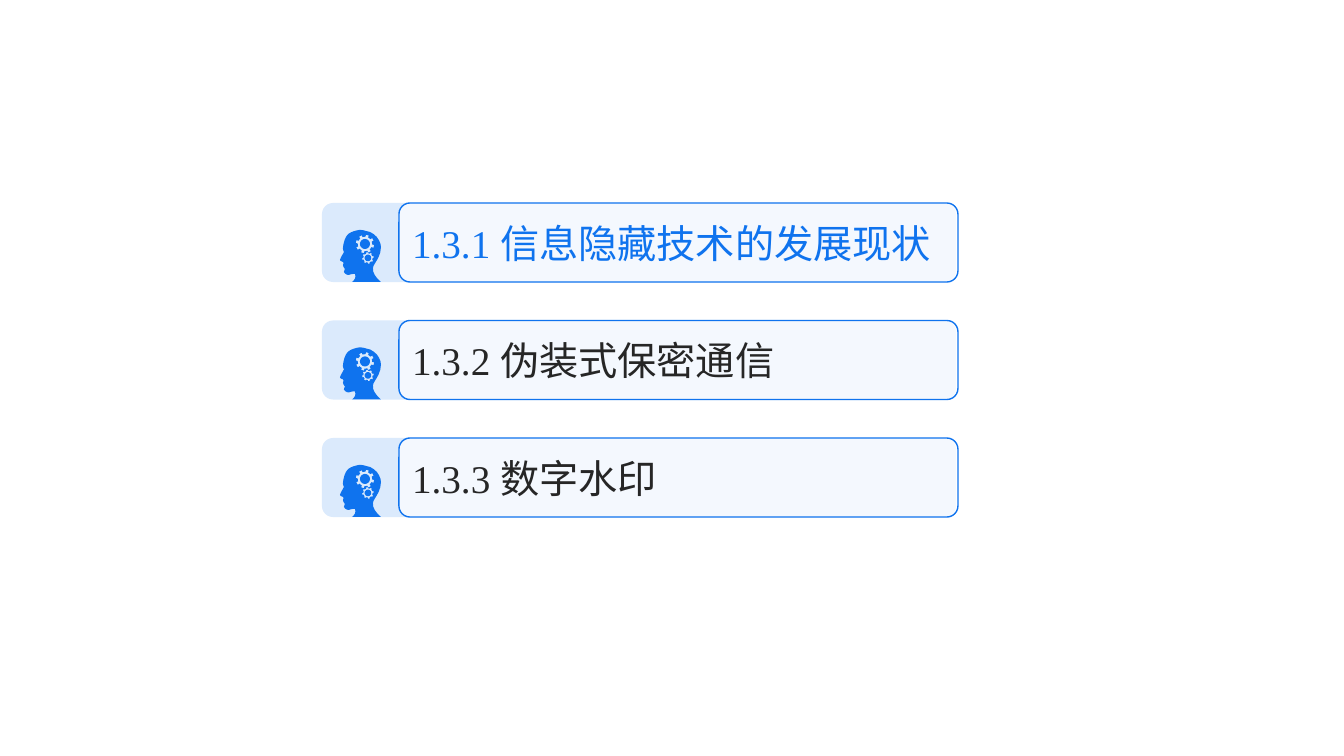
import math

from lxml import etree
from pptx import Presentation
from pptx.dml.color import RGBColor
from pptx.enum.shapes import MSO_SHAPE
from pptx.enum.text import MSO_ANCHOR, PP_ALIGN
from pptx.oxml.ns import qn
from pptx.util import Pt

ROUNDED = MSO_SHAPE.ROUNDED_RECTANGLE
MIDDLE = MSO_ANCHOR.MIDDLE
LEFT = PP_ALIGN.LEFT

BLUE = RGBColor(0x0F, 0x73, 0xEE)
WHITE = RGBColor(0xFF, 0xFF, 0xFF)
DARK = RGBColor(0x26, 0x26, 0x26)
FONT = "Times New Roman"

SECTIONS = [
    ("1.3.1 信息隐藏技术的发展现状", BLUE),
    ("1.3.2 伪装式保密通信", DARK),
    ("1.3.3 数字水印", DARK),
]

PX = 914400 / 100.8
SLIDE_SIZE = (1344, 756)
FIRST_TOP, LAST_TOP = 203, 438
ROW_HEIGHT = 79
BACK_LEFT, BACK_WIDTH = 322, 634
CARD_LEFT, CARD_WIDTH = 399, 559
HEAD_LEFT, HEAD_DROP = 340, 27

HEAD_START = (19, 0)
HEAD_CURVES = [
    ((21, 0), (23, 0), (26, 1)),
    ((35, 2), (41, 11), (41, 17)),
    ((41, 28), (33, 34), (33, 38)),
    ((32, 45), (41, 52), (41, 52)),
    ((41, 52), (12, 52), (12, 52)),
    ((12, 52), (17, 49), (15, 44)),
    ((14, 44), (11, 44), (9, 45)),
    ((7, 45), (5, 44), (4, 42)),
    ((4, 41), (5, 39), (5, 39)),
    ((4, 38), (3, 36), (3, 35)),
    ((4, 33), (3, 32), (3, 32)),
    ((3, 32), (0, 31), (0, 30)),
    ((0, 29), (4, 22), (4, 22)),
    ((4, 22), (3, 20), (3, 19)),
    ((3, 18), (3, 13), (6, 7)),
    ((8, 3), (13, 1), (19, 0)),
]
GEARS = [
    {"center": (25, 14), "tip": 9.3, "root": 7.3, "hub": 5, "turn": -75},
    {"center": (28, 28), "tip": 5.8, "root": 4.7, "hub": 3.3, "turn": -100},
]
TEETH = 8
CURVE_STEPS = 6
FINE = 10


def emu(pixels):
    return round(pixels * PX)


def head_outline():
    points = [HEAD_START]
    for first, second, end in HEAD_CURVES:
        start = points[-1]
        for step in range(1, CURVE_STEPS + 1):
            t = step / CURVE_STEPS
            weights = ((1 - t) ** 3, 3 * t * (1 - t) ** 2, 3 * t * t * (1 - t), t ** 3)
            corners = (start, first, second, end)
            points.append(tuple(
                sum(w * corner[axis] for w, corner in zip(weights, corners))
                for axis in (0, 1)))
    return points


def polar(center, radius, degrees):
    angle = math.radians(degrees)
    return center[0] + radius * math.cos(angle), center[1] + radius * math.sin(angle)


def gear_outlines(gear):
    rim = []
    for tooth in range(TEETH):
        middle = gear["turn"] + tooth * 360 / TEETH
        for key, offset in (("root", -11), ("tip", -9), ("tip", 9), ("root", 11)):
            rim.append(polar(gear["center"], gear[key], middle + offset))
    hub = [polar(gear["center"], gear["hub"], angle) for angle in range(0, 360, 15)]
    return [rim, hub]


def paint(shape, color, opacity=100):
    shape.shadow.inherit = False
    shape.fill.solid()
    shape.fill.fore_color.rgb = color
    shape.line.fill.background()
    if opacity < 100:
        color_element = shape.fill._xPr.find(qn("a:solidFill"))[0]
        etree.SubElement(color_element, qn("a:alpha"), val=str(opacity * 1000))


def add_panel(shapes, left, top, width, color, opacity):
    panel = shapes.add_shape(ROUNDED, emu(left), emu(top), emu(width), emu(ROW_HEIGHT))
    panel.adjustments[0] = 0.14
    paint(panel, color, opacity)
    return panel


def add_head(shapes, left, top):
    outlines = [head_outline()]
    for gear in GEARS:
        outlines += gear_outlines(gear)
    builder = None
    for outline in outlines:
        points = [(round(x * FINE), round(y * FINE)) for x, y in outline]
        if builder is None:
            builder = shapes.build_freeform(*points[0], scale=PX / FINE)
        else:
            builder.move_to(*points[0])
        builder.add_line_segments(points[1:], close=True)
    paint(builder.convert_to_shape(emu(left), emu(top)), BLUE)


def add_label(card, text, color):
    frame = card.text_frame
    frame.word_wrap = True
    frame.vertical_anchor = MIDDLE
    paragraph = frame.paragraphs[0]
    paragraph.alignment = LEFT
    run = paragraph.add_run()
    run.text = text
    run.font.name = FONT
    run.font.size = Pt(28)
    run.font.color.rgb = color


def main():
    presentation = Presentation()
    presentation.slide_width, presentation.slide_height = map(emu, SLIDE_SIZE)
    slide = presentation.slides.add_slide(presentation.slide_layouts[6])
    pitch = (LAST_TOP - FIRST_TOP) / (len(SECTIONS) - 1)
    for index, (text, color) in enumerate(SECTIONS):
        top = FIRST_TOP + index * pitch
        shapes = slide.shapes.add_group_shape().shapes
        add_panel(shapes, BACK_LEFT, top, BACK_WIDTH, BLUE, 15)
        add_head(shapes, HEAD_LEFT, top + HEAD_DROP)
        card = add_panel(shapes, CARD_LEFT, top, CARD_WIDTH, WHITE, 70)
        card.line.color.rgb = BLUE
        card.line.width = Pt(1)
        add_label(card, text, color)
    presentation.save("out.pptx")


if __name__ == "__main__":
    main()
